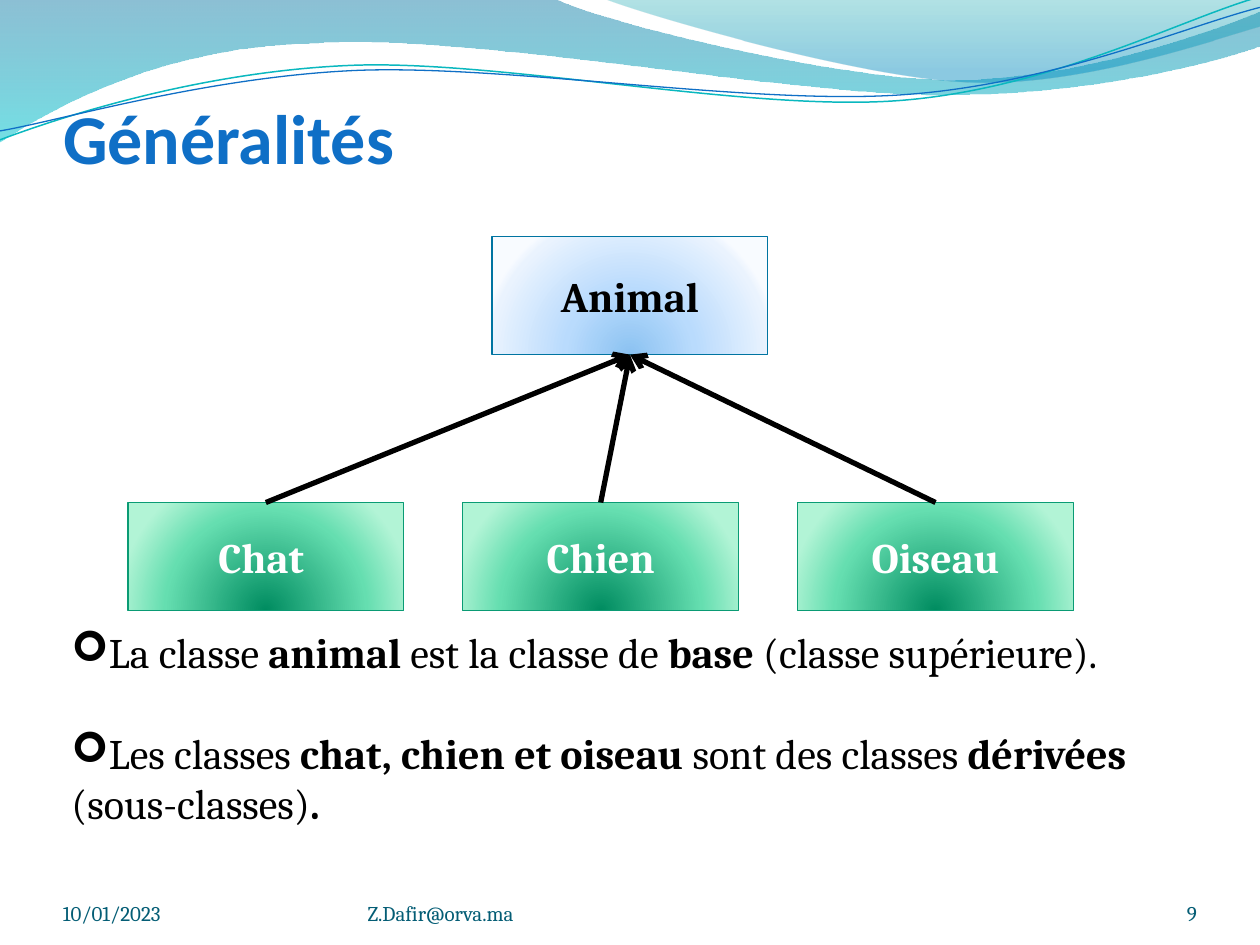
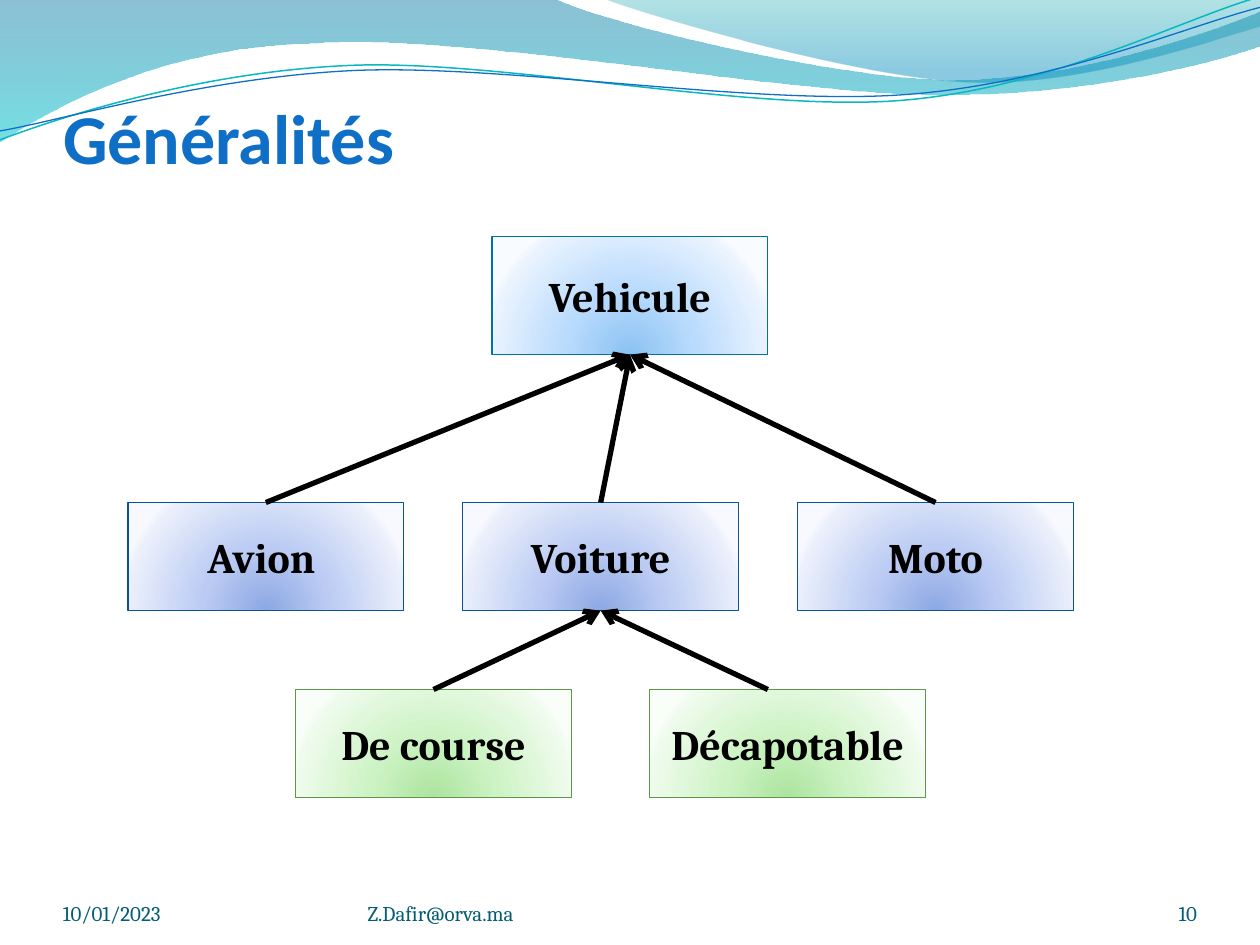
from dataclasses import dataclass
from typing import Optional

from lxml.etree import SubElement
from pptx import Presentation
from pptx.dml.color import RGBColor
from pptx.enum.shapes import MSO_CONNECTOR as Connector, MSO_SHAPE as Preset
from pptx.enum.text import MSO_ANCHOR as Anchor, MSO_AUTO_SIZE as AutoSize, PP_ALIGN as Align
from pptx.oxml import parse_xml
from pptx.oxml.ns import nsdecls, qn
from pptx.util import Cm, Pt

Point = tuple[float, float]
Segment = tuple[Point, ...]
Stop = tuple[int, str, int]


@dataclass(frozen=True)
class Palette:
    stops: tuple[Stop, ...]
    outline: str
    text: str = "000000"


@dataclass(frozen=True)
class Theme:
    title_font: str = "Calibri"
    text_font: str = "Cambria"
    bullet_font: str = "Wingdings"
    title_size: int = 40
    text_size: int = 24
    footer_size: int = 12
    blank_line: int = 29
    title: str = "0F6FC6"
    footer: str = "045D75"
    ink: str = "000000"
    root: Palette = Palette(
        ((0, "8BC2F1", 100), (43, "B9DBFD", 100), (93, "EAF3FE", 100), (100, "F8FBFF", 100)),
        "0074A1")
    animal: Palette = Palette(
        ((0, "008C60", 100), (68, "65DEB0", 100), (100, "B2F4D6", 100)), "0A9B74", "FFFFFF")
    vehicle: Palette = Palette(
        ((0, "8DA8E3", 100), (43, "BBCBF3", 100), (93, "EAEFFB", 100), (100, "F7F9FF", 100)),
        "095295")
    car: Palette = Palette(
        ((0, "ACE49F", 100), (43, "CDF3C4", 100), (93, "EFFBED", 100), (100, "F9FFF8", 100)),
        "5B9747")


@dataclass(frozen=True)
class Wave:
    start: Point
    segments: tuple[Segment, ...]
    stops: tuple[Stop, ...] = ()
    stroke: str = ""
    weight: float = 0


@dataclass(frozen=True)
class FooterItem:
    left: float
    width: float
    text: str
    align: Align = Align.LEFT


@dataclass(frozen=True)
class ClassNode:
    label: str
    left: float
    top: float
    height: float
    palette: Palette
    children: tuple["ClassNode", ...] = ()
    arrow_shift: float = 0


@dataclass(frozen=True)
class Lesson:
    number: int
    hierarchy: ClassNode
    remarks: tuple[tuple[tuple[str, bool], ...], ...] = ()


THEME = Theme()
TITLE = "Généralités"
NODE_WIDTH = 5.56

WAVES = (
    Wave((0, 0), (
        ((11.18, -0.03),),
        ((12.09, 0.43), (16.87, 1.6), (19.25, 1.6)),
        ((21.67, 1.6), (24.33, 0.66), (25.4, 0.23)),
        ((25.43, 0.91),),
        ((24.97, 1.12), (22.1, 1.93), (18.95, 1.91)),
        ((15.8, 1.91), (9.7, 0.71), (6.53, 0.86)),
        ((3.28, 0.91), (1.17, 2.11), (-0.03, 2.87)),
        ((0, 0),),
    ), stops=((0, "0074A1", 45), (100, "00C6CF", 55))),
    Wave((12.17, -0.03), (
        ((12.93, 0.28), (17.32, 1.57), (19.53, 1.65)),
        ((21.74, 1.75), (24.41, 0.81), (25.4, 0.53)),
        ((25.4, 0),),
        ((12.17, -0.03),),
    ), stops=((0, "00A1A9", 30), (80, "008BBF", 45))),
    Wave((0, 2.82), (
        ((1.22, 2.36), (4.01, 1.45), (7.04, 1.32)),
        ((10.03, 1.19), (15.06, 2.26), (18.11, 2.03)),
        ((21.16, 1.8), (23.83, 0.38), (25.35, -0.05)),
    ), stroke="0AB8BF", weight=0.85),
    Wave((0, 2.64), (
        ((1.19, 2.44), (4.17, 1.55), (7.19, 1.42)),
        ((10.24, 1.3), (15.16, 2.13), (18.21, 1.91)),
        ((21.23, 1.7), (23.9, 0.53), (25.4, 0.15)),
    ), stroke="0F6FC6", weight=0.75),
)


def root_class(label: str, children: tuple[ClassNode, ...]) -> ClassNode:
    return ClassNode(label, 9.92, 4.77, 2.38, THEME.root, children)


def subclass_row(labels: tuple[str, ...], palette: Palette,
                 middle_children: tuple[ClassNode, ...] = ()) -> tuple[ClassNode, ...]:
    return tuple(
        ClassNode(label, 2.58 + 6.75 * column, 10.13, 2.18, palette,
                  middle_children if column == 1 else ())
        for column, label in enumerate(labels))


CARS = (
    ClassNode("De course", 5.96, 13.9, 2.18, THEME.car),
    ClassNode("Décapotable", 13.1, 13.9, 2.18, THEME.car, arrow_shift=-0.4),
)

LESSONS = (
    Lesson(9, root_class("Animal", subclass_row(("Chat ", "Chien", "Oiseau"), THEME.animal)), (
        (("La classe ", False), ("animal", True), (" est la classe de ", False),
         ("base", True), (" (classe supérieure).", False)),
        (("Les classes ", False), ("chat, chien et oiseau ", True),
         ("sont des classes ", False), ("dérivées", True),
         (" (sous-classes)", False), (".", True)),
    )),
    Lesson(10, root_class("Vehicule", subclass_row(("Avion ", "Voiture", "Moto"), THEME.vehicle, CARS))),
)


def set_font(paragraph, face: str, size: int, color: str, bold: Optional[bool] = None) -> None:
    font = paragraph.font
    font.name, font.size, font.bold = face, Pt(size), bold
    font.color.rgb = RGBColor.from_string(color)


def set_gradient(shape, stops: tuple[Stop, ...], radial: bool) -> None:
    colors = "".join(
        f'<a:gs pos="{place * 1000}"><a:srgbClr val="{color}">'
        f'<a:alpha val="{opacity * 1000}"/></a:srgbClr></a:gs>'
        for place, color, opacity in stops)
    direction = (
        '<a:path path="circle"><a:fillToRect l="50000" t="130000" r="50000" b="-30000"/></a:path>'
        if radial else '<a:lin ang="5400000" scaled="0"/>')
    shape.fill.background()
    properties = shape._element.spPr
    properties.replace(properties.find(qn("a:noFill")), parse_xml(
        f'<a:gradFill {nsdecls("a")} rotWithShape="1"><a:gsLst>{colors}</a:gsLst>{direction}</a:gradFill>'))


def set_line(shape, color: str, weight: float) -> None:
    shape.line.color.rgb = RGBColor.from_string(color)
    shape.line.width = Pt(weight)


def bend(ribbon, segments: tuple[Segment, ...]) -> None:
    steps = iter(list(ribbon._element.iter(qn("a:lnTo"))))
    for segment in segments:
        first, *others = [next(steps) for _ in segment]
        if others:
            first.tag = qn("a:cubicBezTo")
            for step in others:
                first.append(step[0])
                step.getparent().remove(step)


def draw_wave(slide, wave: Wave) -> None:
    builder = slide.shapes.build_freeform(Cm(wave.start[0]), Cm(wave.start[1]))
    points = [(Cm(x), Cm(y)) for segment in wave.segments for x, y in segment]
    builder.add_line_segments(points, close=bool(wave.stops))
    ribbon = builder.convert_to_shape()
    bend(ribbon, wave.segments)
    ribbon.shadow.inherit = False
    if wave.stops:
        set_gradient(ribbon, wave.stops, radial=False)
        ribbon.line.fill.background()
    else:
        ribbon.fill.background()
        set_line(ribbon, wave.stroke, wave.weight)
    slide.slide_layout.shapes._spTree.append(ribbon._element)


def draw_title(slide) -> None:
    title = slide.shapes.title
    title.left, title.top, title.width, title.height = Cm(1.27), Cm(0), Cm(22.86), Cm(3.6)
    frame = title.text_frame
    frame.text = TITLE
    frame.auto_size = AutoSize.NONE
    frame.vertical_anchor = Anchor.BOTTOM
    frame.margin_left = frame.margin_right = frame.margin_bottom = 0
    frame.margin_top = Cm(0.13)
    heading = frame.paragraphs[0]
    heading.alignment = Align.LEFT
    set_font(heading, THEME.title_font, THEME.title_size, THEME.title, True)


def draw_footer(slide, item: FooterItem) -> None:
    frame = slide.shapes.add_textbox(Cm(item.left), Cm(17.65), Cm(item.width), Cm(1.02)).text_frame
    frame.word_wrap = True
    frame.vertical_anchor = Anchor.BOTTOM
    frame.margin_left = frame.margin_right = frame.margin_top = frame.margin_bottom = 0
    frame.text = item.text
    frame.paragraphs[0].alignment = item.align
    set_font(frame.paragraphs[0], THEME.text_font, THEME.footer_size, THEME.footer)


def draw_class(slide, node: ClassNode, parent=None) -> None:
    box = slide.shapes.add_shape(
        Preset.RECTANGLE, Cm(node.left), Cm(node.top), Cm(NODE_WIDTH), Cm(node.height))
    box.shadow.inherit = False
    set_gradient(box, node.palette.stops, radial=True)
    set_line(box, node.palette.outline, 0.75)
    box.text_frame.text = node.label
    box.text_frame.vertical_anchor = Anchor.MIDDLE
    label = box.text_frame.paragraphs[0]
    label.alignment = Align.CENTER
    set_font(label, THEME.text_font, THEME.text_size, node.palette.text, True)
    if parent is not None:
        draw_inheritance(slide, box, parent, node.arrow_shift)
    for child in node.children:
        draw_class(slide, child, box)


def draw_inheritance(slide, child, parent, shift: float) -> None:
    arrow = slide.shapes.add_connector(
        Connector.STRAIGHT, child.left + child.width // 2 + Cm(shift), child.top,
        parent.left + parent.width // 2, parent.top + parent.height)
    if not shift:
        arrow.begin_connect(child, 0)
    arrow.end_connect(parent, 2)
    set_line(arrow, THEME.ink, 3)
    SubElement(arrow.line._get_or_add_ln(), qn("a:tailEnd"), type="arrow")
    SubElement(arrow._element.spPr, qn("a:effectLst"))


def draw_remarks(slide, remarks: tuple[tuple[tuple[str, bool], ...], ...]) -> None:
    frame = slide.shapes.add_textbox(Cm(1.19), Cm(12.5), Cm(22.23), Cm(4.37)).text_frame
    frame.word_wrap = True
    frame.auto_size = AutoSize.SHAPE_TO_FIT_TEXT
    for index, remark in enumerate(remarks):
        paragraph = frame.add_paragraph() if index else frame.paragraphs[0]
        paragraph.space_before = Pt(THEME.blank_line if index else 0)
        set_font(paragraph, THEME.text_font, THEME.text_size, THEME.ink)
        for bullet in (f'<a:buFont {nsdecls("a")} typeface="{THEME.bullet_font}"/>',
                       f'<a:buChar {nsdecls("a")} char="➢"/>'):
            paragraph._p.pPr.insert_element_before(
                parse_xml(bullet), "a:tabLst", "a:defRPr", "a:extLst")
        for text, bold in remark:
            run = paragraph.add_run()
            run.text, run.font.bold = text, bold


def draw_lesson(deck, lesson: Lesson):
    slide = deck.slides.add_slide(deck.slide_layouts[5])
    draw_title(slide)
    for item in (FooterItem(1.27, 5.93, "10/01/2023"),
                 FooterItem(7.41, 9.31, "Z.Dafir@orva.ma"),
                 FooterItem(22.01, 2.12, str(lesson.number), Align.RIGHT)):
        draw_footer(slide, item)
    draw_class(slide, lesson.hierarchy)
    if lesson.remarks:
        draw_remarks(slide, lesson.remarks)
    return slide


def main() -> None:
    deck = Presentation()
    deck.slide_width, deck.slide_height = Cm(25.4), Cm(19.05)
    slides = [draw_lesson(deck, lesson) for lesson in LESSONS]
    for wave in WAVES:
        draw_wave(slides[0], wave)
    deck.save("out.pptx")


if __name__ == "__main__":
    main()
